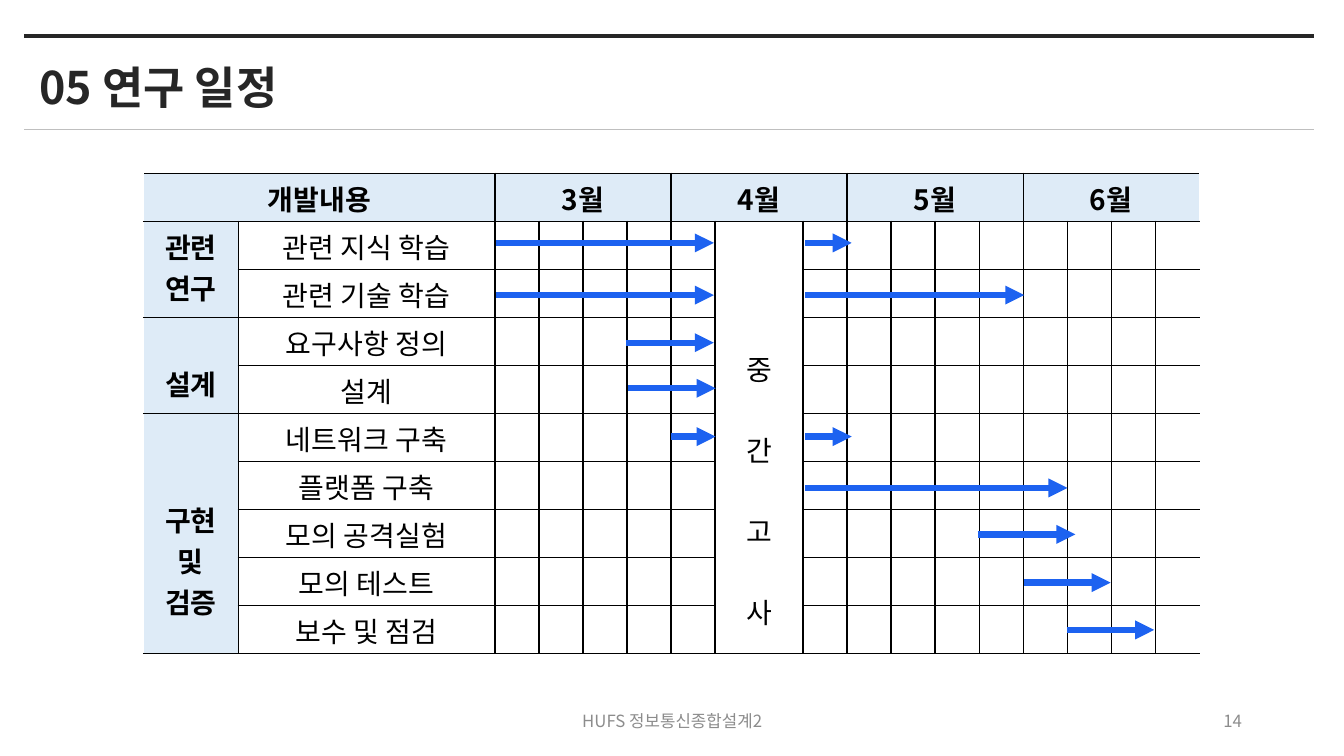
"""Build the research schedule slide with a month and week table and task arrows."""
from lxml import etree
from pptx import Presentation
from pptx.dml.color import RGBColor
from pptx.enum.shapes import MSO_CONNECTOR
from pptx.enum.text import MSO_ANCHOR, PP_ALIGN
from pptx.oxml.ns import qn
from pptx.util import Pt

LEFT, CENTER, RIGHT = PP_ALIGN.LEFT, PP_ALIGN.CENTER, PP_ALIGN.RIGHT
TOP, MIDDLE = MSO_ANCHOR.TOP, MSO_ANCHOR.MIDDLE
STRAIGHT = MSO_CONNECTOR.STRAIGHT

INK = RGBColor(0x26, 0x26, 0x26)
GRAY = RGBColor(0x8C, 0x8C, 0x8C)
RULE_GRAY = RGBColor(0xBF, 0xBF, 0xBF)
BLACK = RGBColor(0, 0, 0)
WHITE = RGBColor(0xFF, 0xFF, 0xFF)
PALE_BLUE = RGBColor(0xDE, 0xEB, 0xF7)
BLUE = RGBColor(0x1D, 0x62, 0xF0)
FONT = "Noto Sans CJK KR"

LABELS = [
    ("05 연구 일정", (20.9, 38.9, 544.3, 46.1), LEFT, TOP,
     {"size": Pt(32), "bold": True}, INK),
    ("14", (678.2, 500.4, 216, 28.8), RIGHT, MIDDLE, {"size": Pt(12)}, GRAY),
    ("HUFS 정보통신종합설계2", (318.2, 500.4, 324, 28.8), CENTER, MIDDLE,
     {"size": Pt(12)}, GRAY),
]
RULES = [(25.9, INK, 3), (92.2, RULE_GRAY, 0.5)]
HEADINGS = [("개발내용", 2), ("3월", 4), ("4월", 3), ("5월", 4), ("6월", 4)]
# PHASES: lines, number of tasks, text lines left free above
PHASES = [(["관련", "연구"], 2, 0), (["설계"], 2, 1), (["구현", "및", "검증"], 5, 2)]
TASKS = [
    ("관련 지식 학습", -1.7, [(0.02, 4.97), (7.05, 8.1)]),
    ("관련 기술 학습", 1.3, [(0.02, 4.97), (7.05, 12.02)]),
    ("요구사항 정의", 1, [(2.97, 4.97)]),
    ("설계", -0.7, [(3.02, 5.01)]),
    ("네트워크 구축", -0.5, [(4, 5.01), (7.05, 8.1)]),
    ("플랫폼 구축", 1.9, [(7.05, 13)]),
    ("모의 공격실험", 0.8, [(10.96, 13.18)]),
    ("모의 테스트", 1, [(12.02, 13.98)]),
    ("보수 및 점검", 0.5, [(13, 14.97)]),
]
EXAM, EXAM_COLUMN, EXAM_FREE_LINES = "중간고사", 7, 3

TABLE_LEFT, TABLE_TOP, ROW_HEIGHT = 102.5, 123.8, 34.28
PHASE_WIDTH, TASK_WIDTH, WEEK_WIDTH = 67.6, 183.5, 31.45
WEEKS_LEFT = TABLE_LEFT + PHASE_WIDTH + TASK_WIDTH
LINE_HEIGHT, CELL_MARGIN = 28.9, 3.6
WIDTHS = [PHASE_WIDTH, TASK_WIDTH] + [
    WEEK_WIDTH * (2 if column == EXAM_COLUMN else 1) for column in range(2, 17)]
ROW_COUNT, COLUMN_COUNT = len(TASKS) + 1, len(WIDTHS)


def write(paragraph, text, align, font_values, color):
    paragraph.alignment = align
    run = paragraph.add_run()
    run.text = text
    for key, value in {"name": FONT, **font_values}.items():
        setattr(run.font, key, value)
    run.font.color.rgb = color
    etree.SubElement(run.font._element, qn("a:ea"), typeface=FONT)


def add_label(slide, text, box, align, anchor, font_values, color):
    frame = slide.shapes.add_textbox(*map(Pt, box)).text_frame
    frame.word_wrap = True
    frame.vertical_anchor = anchor
    write(frame.paragraphs[0], text, align, font_values, color)


def add_line(slide, start, end, y, color, width, arrow=False):
    line = slide.shapes.add_connector(STRAIGHT, Pt(start), Pt(y), Pt(end), Pt(y))
    line.line.color.rgb = color
    line.line.width = Pt(width)
    if arrow:
        etree.SubElement(line.line._get_or_add_ln(), qn("a:tailEnd"), type="triangle")
    etree.SubElement(line._element.spPr, qn("a:effectLst"))


def style_cell(cell, row, column):
    properties = cell._tc.get_or_add_tcPr()
    last = column + (cell.span_width if cell.is_merge_origin else 1) == COLUMN_COUNT
    outer = {"L": column == 0, "R": last, "T": False, "B": False}
    for side, is_outer in outer.items():
        border = etree.SubElement(properties, qn(f"a:ln{side}"), w=str(Pt(1)))
        fill = etree.SubElement(border, qn("a:solidFill"))
        etree.SubElement(fill, qn("a:srgbClr"), val=str(WHITE if is_outer else BLACK))
    cell.fill.solid()
    cell.fill.fore_color.rgb = PALE_BLUE if row == 0 or column == 0 else WHITE
    cell.margin_top, cell.margin_bottom = Pt(CELL_MARGIN), Pt(0)


def fill_cell(cell, lines, bold=False, free_lines=0, gap=0):
    cell.margin_top = Pt(CELL_MARGIN + free_lines * LINE_HEIGHT)
    frame = cell.text_frame
    for index, text in enumerate(lines):
        paragraph = frame.add_paragraph() if index else frame.paragraphs[0]
        if index and gap:
            paragraph.space_before = Pt(gap)
        write(paragraph, text, CENTER, {"size": Pt(20), "bold": bold}, BLACK)


def add_schedule(slide):
    table = slide.shapes.add_table(
        ROW_COUNT, COLUMN_COUNT, Pt(TABLE_LEFT), Pt(TABLE_TOP),
        Pt(sum(WIDTHS)), Pt(ROW_HEIGHT * ROW_COUNT)).table
    for column, width in zip(table.columns, WIDTHS):
        column.width = Pt(width)
    for row in table.rows:
        row.height = Pt(ROW_HEIGHT)

    column = 0
    for heading, span in HEADINGS:
        table.cell(0, column).merge(table.cell(0, column + span - 1))
        column += span
    row = 1
    for _, span, _ in PHASES:
        table.cell(row, 0).merge(table.cell(row + span - 1, 0))
        row += span
    table.cell(1, EXAM_COLUMN).merge(table.cell(ROW_COUNT - 1, EXAM_COLUMN))

    for row in range(ROW_COUNT):
        for column in range(COLUMN_COUNT):
            style_cell(table.cell(row, column), row, column)

    column = 0
    for heading, span in HEADINGS:
        fill_cell(table.cell(0, column), [heading], bold=True)
        column += span
    row = 1
    for lines, span, free_lines in PHASES:
        fill_cell(table.cell(row, 0), lines, bold=True, free_lines=free_lines)
        row += span
    for row, (task, _, _) in enumerate(TASKS, 1):
        fill_cell(table.cell(row, 1), [task])
    fill_cell(table.cell(1, EXAM_COLUMN), EXAM,
              free_lines=EXAM_FREE_LINES, gap=LINE_HEIGHT)


def add_arrows(slide):
    for row, (_, shift, periods) in enumerate(TASKS, 1):
        y = TABLE_TOP + (row + 0.5) * ROW_HEIGHT + shift
        for period in periods:
            start, end = (WEEKS_LEFT + week * WEEK_WIDTH for week in period)
            add_line(slide, start, end, y, BLUE, 4.5, arrow=True)


def main():
    deck = Presentation()
    deck.slide_width, deck.slide_height = Pt(960), Pt(540)
    slide = deck.slides.add_slide(deck.slide_layouts[6])
    for label in LABELS:
        add_label(slide, *label)
    for y, color, width in RULES:
        add_line(slide, 17.3, 938.9, y, color, width)
    add_schedule(slide)
    add_arrows(slide)
    deck.save("out.pptx")


if __name__ == "__main__":
    main()
